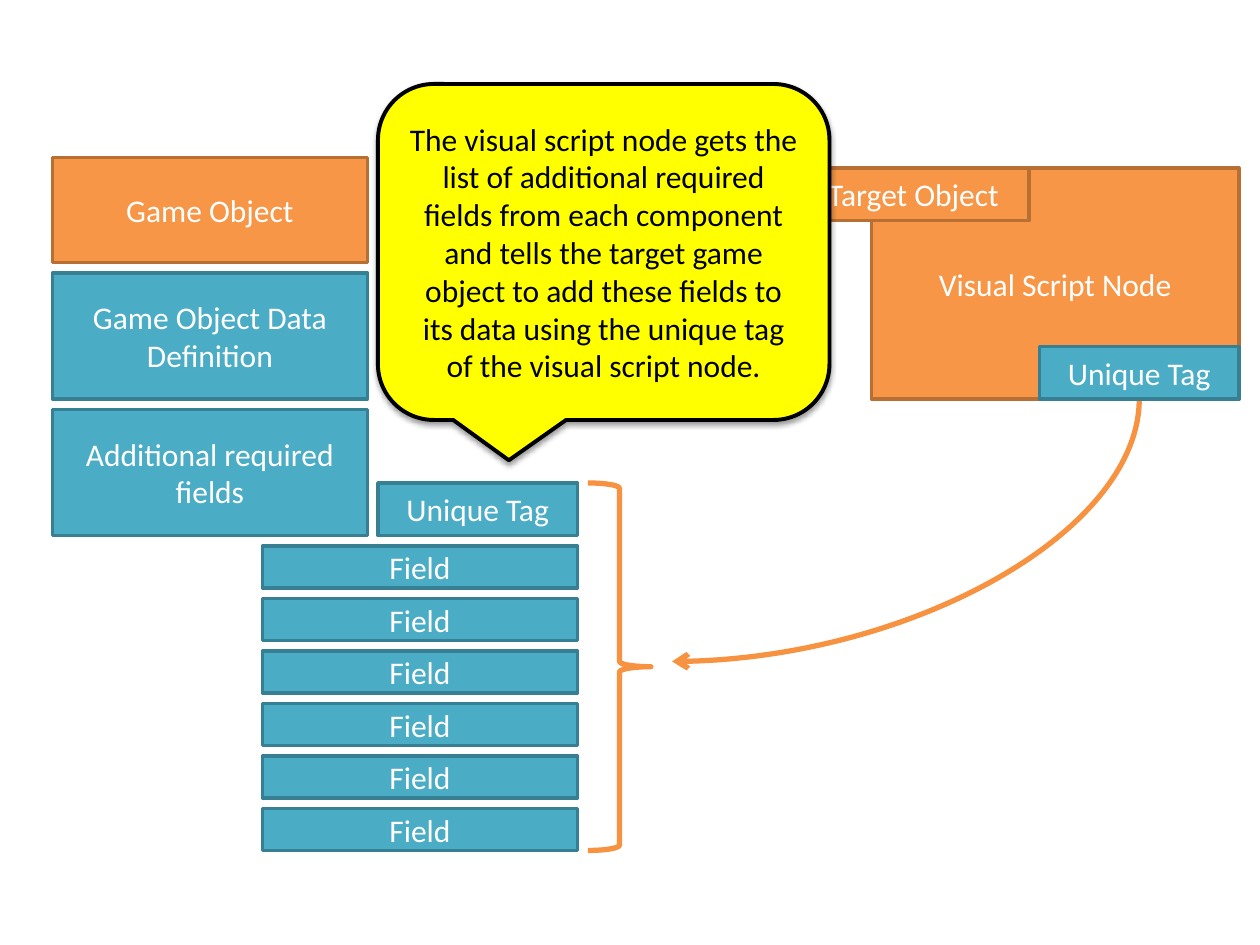
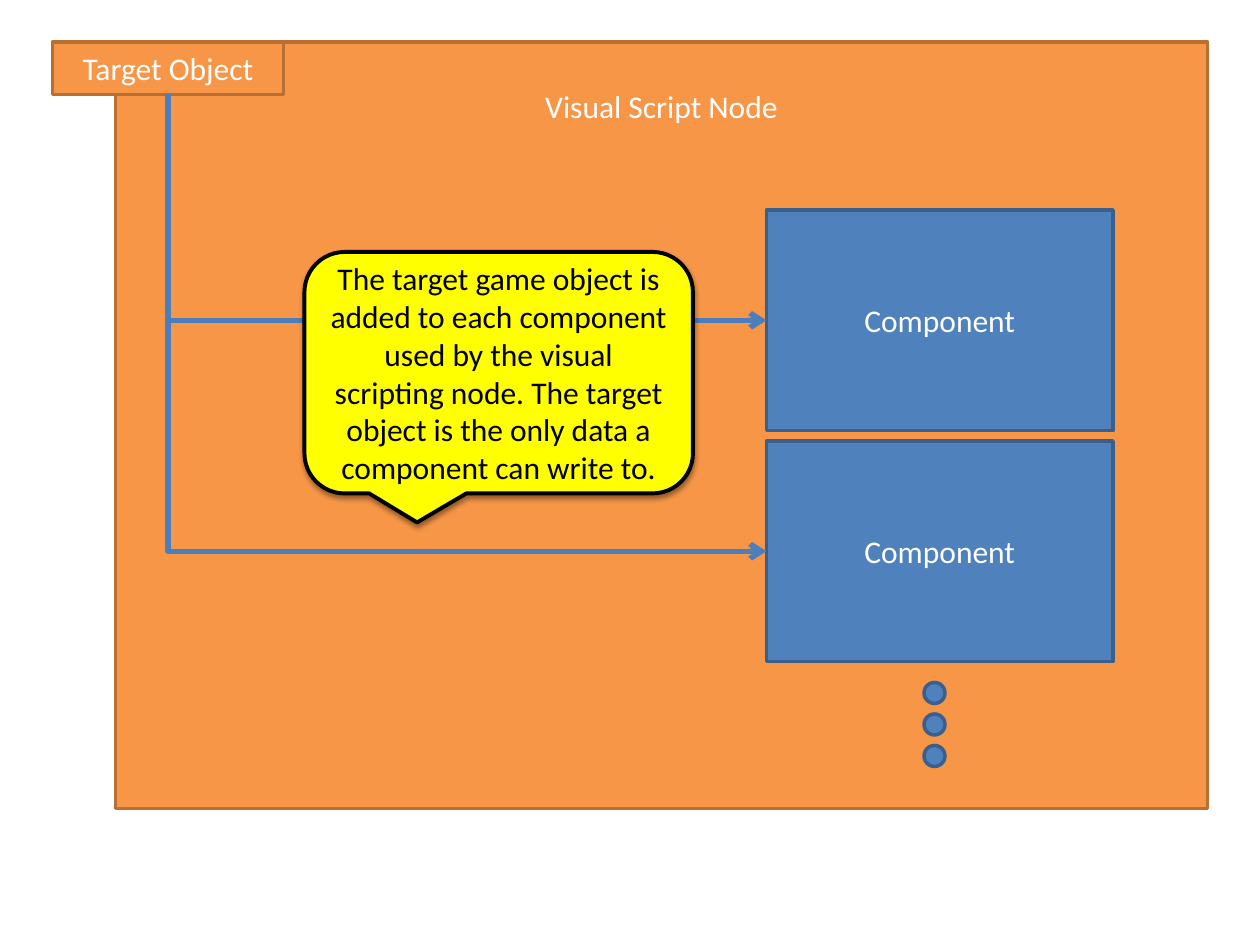
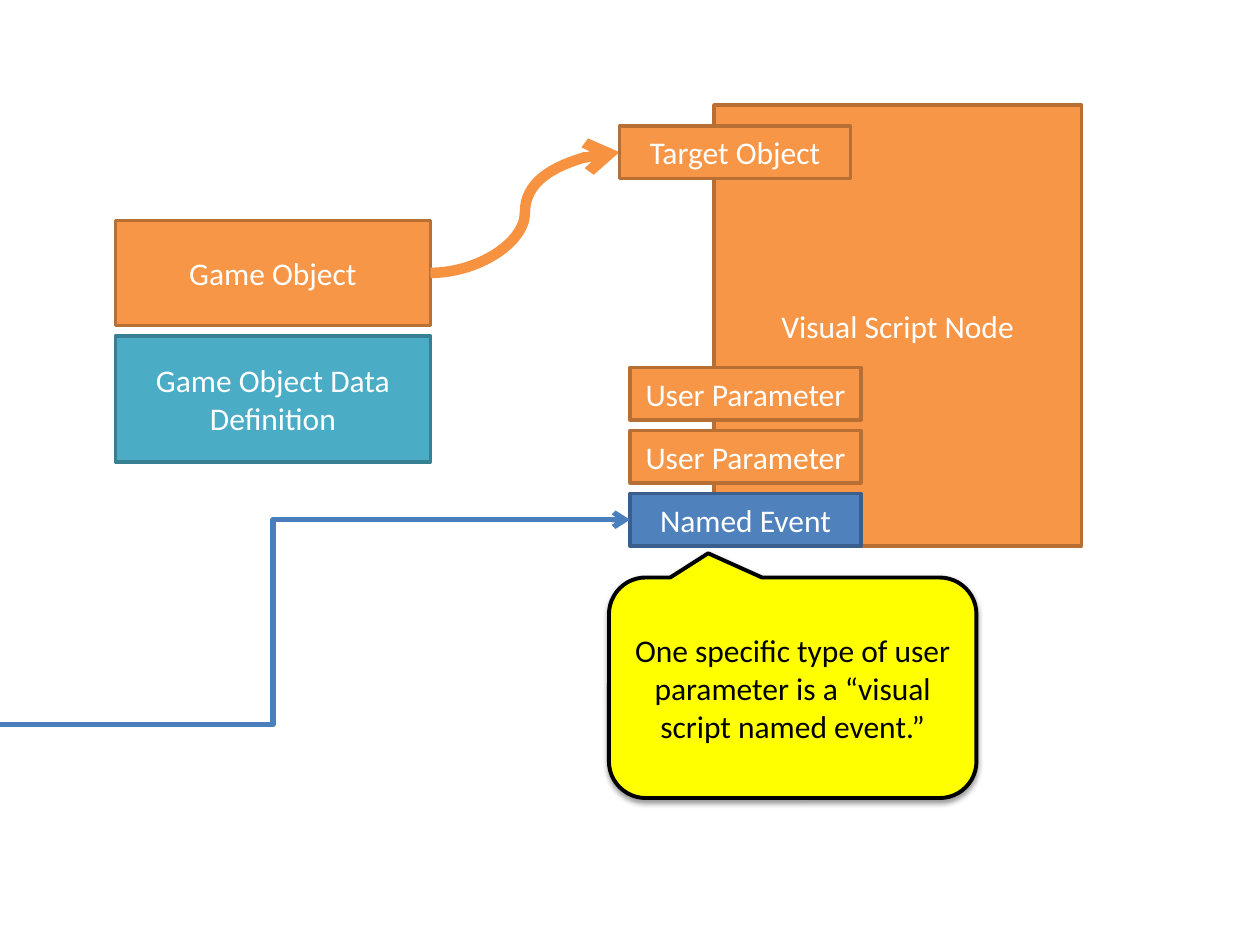
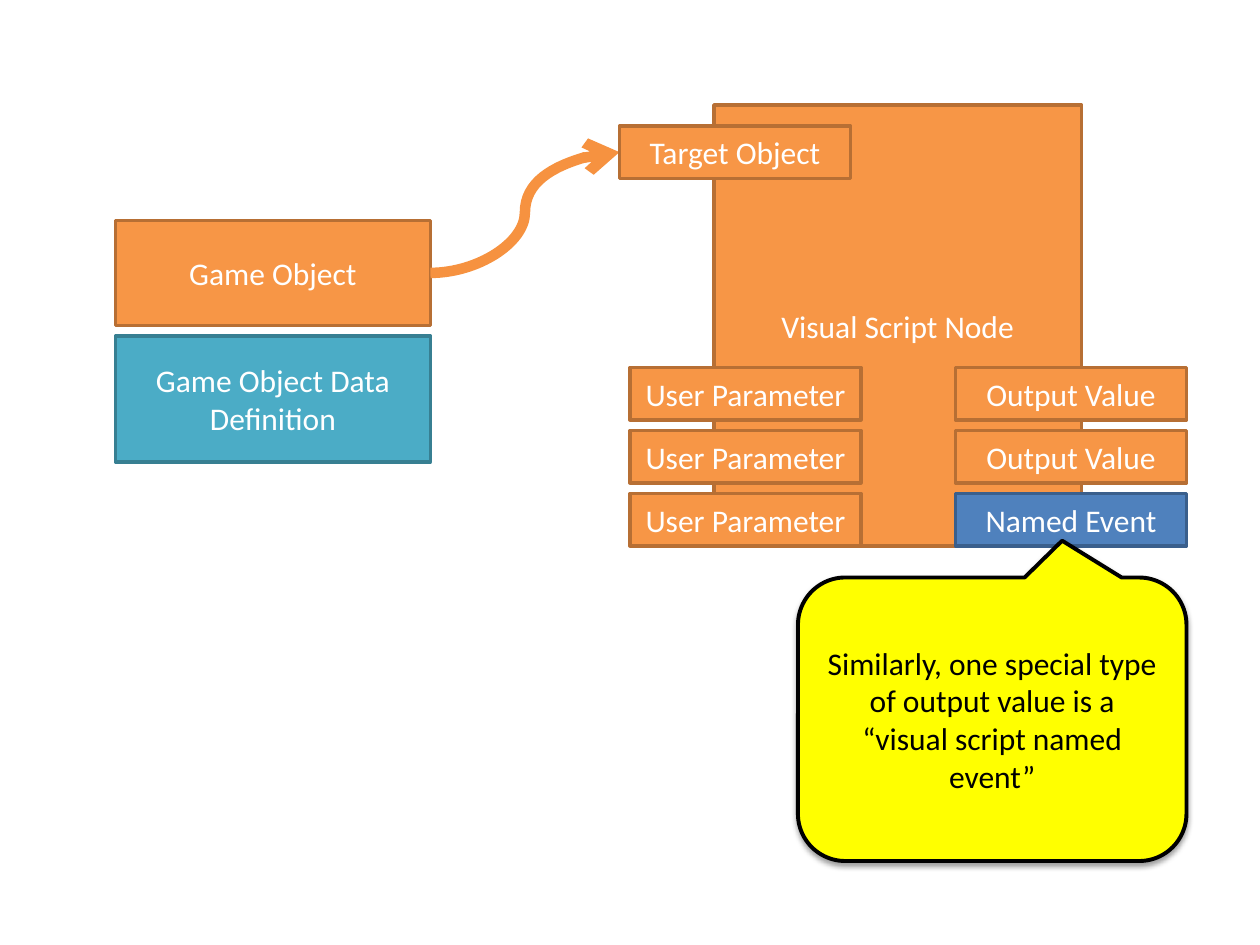
"""Four diagrams of how game objects and visual script nodes work together."""
from dataclasses import dataclass, field
from typing import Optional

from lxml import etree
from pptx import Presentation
from pptx.dml import color
from pptx.enum import shapes as s, text as t
from pptx.oxml import ns
from pptx import util as u


@dataclass(frozen=True)
class Paint:
    """Fill, outline and text colours of one kind of box."""
    fill: str
    line: str
    text: str = "FFFFFF"
    line_width: float = 2


@dataclass(frozen=True)
class Theme:
    """Colours and sizes shared by all slides."""
    script: Paint = Paint("F79646", "B76F34")
    data: Paint = Paint("4BACC6", "377F92")
    logic: Paint = Paint("4F81BD", "3A5F8C")
    callout: Paint = Paint("FFFF00", "000000", "000000", 2.25)
    script_link: str = "F69240"
    logic_link: str = "4B7EBC"
    link_width: float = 3
    wide_link_width: float = 6
    font: str = "Calibri"
    size: float = 18


THEME = Theme()
GAP = 6
TAB_WIDTH, TAB_HEIGHT = 132, 30
TAG_WIDTH = 114
OBJECT_WIDTH, OBJECT_HEIGHT, DATA_HEIGHT = 180, 60, 72


@dataclass(frozen=True)
class Box:
    """A labelled shape, with lengths in points."""
    label: str
    left: float
    top: float
    width: float
    height: float
    paint: Paint = THEME.script
    kind: s.MSO_SHAPE = s.MSO_SHAPE.RECTANGLE
    text_top: Optional[float] = None


@dataclass(frozen=True)
class Callout:
    """A speech bubble; tip is its offset from the centre, in shares of its size."""
    label: str
    left: float
    top: float
    width: float
    height: float
    tip: tuple[float, float] = (-0.21, 0.62)


@dataclass(frozen=True)
class Link:
    """An arrow between two points; one_bend goes down first, then sideways."""
    kind: s.MSO_CONNECTOR
    start: tuple[float, float]
    end: tuple[float, float]
    color: str
    width: float = field(default=THEME.link_width)
    one_bend: bool = False


def rgb(value: str) -> color.RGBColor:
    """Turn a hex string into a colour."""
    return color.RGBColor.from_string(value)


def draw_box(slide, box: Box):
    """Draw a filled shape with its centred label."""
    shape = slide.shapes.add_shape(
        box.kind, u.Pt(box.left), u.Pt(box.top), u.Pt(box.width), u.Pt(box.height))
    shape.shadow.inherit = False
    shape.fill.solid()
    shape.fill.fore_color.rgb = rgb(box.paint.fill)
    shape.line.color.rgb = rgb(box.paint.line)
    shape.line.width = u.Pt(box.paint.line_width)
    if box.label:
        frame = shape.text_frame
        frame.word_wrap = True
        frame.vertical_anchor = t.MSO_ANCHOR.MIDDLE
        if box.text_top is not None:
            frame.vertical_anchor = t.MSO_ANCHOR.TOP
            frame.margin_top = u.Pt(box.text_top)
        paragraph = frame.paragraphs[0]
        paragraph.alignment = t.PP_ALIGN.CENTER
        run = paragraph.add_run()
        run.text = box.label
        run.font.name = THEME.font
        run.font.size = u.Pt(THEME.size)
        run.font.color.rgb = rgb(box.paint.text)
    return shape


def draw_callout(slide, callout: Callout) -> None:
    """Draw a yellow speech bubble with a soft shadow."""
    shape = draw_box(slide, Box(
        callout.label, callout.left, callout.top, callout.width, callout.height,
        THEME.callout, s.MSO_SHAPE.ROUNDED_RECTANGULAR_CALLOUT))
    shape.adjustments[0], shape.adjustments[1] = callout.tip
    effects = shape._element.spPr.find(ns.qn("a:effectLst"))
    shadow = etree.SubElement(
        effects, ns.qn("a:outerShdw"), blurRad=str(u.Pt(3.1)), dist=str(u.Pt(1.6)),
        dir="5400000", rotWithShape="0")
    black = etree.SubElement(shadow, ns.qn("a:srgbClr"), val="000000")
    etree.SubElement(black, ns.qn("a:alpha"), val="38000")


def draw_link(slide, link: Link) -> None:
    """Draw an arrow; a one-bend arrow is laid out in its rotated frame."""
    (x1, y1), (x2, y2) = link.start, link.end
    side = 1 if x2 > x1 else -1
    if link.one_bend:
        middle_x, middle_y = (x1 + x2) / 2, (y1 + y2) / 2
        half_width, half_height = (y2 - y1) / 2, abs(x2 - x1) / 2
        x1, x2 = middle_x + side * half_width, middle_x - side * half_width
        y1, y2 = middle_y - half_height, middle_y + half_height
    connector = slide.shapes.add_connector(
        link.kind, u.Pt(x1), u.Pt(y1), u.Pt(x2), u.Pt(y2))
    connector.line.color.rgb = rgb(link.color)
    connector.line.width = u.Pt(link.width)
    properties = connector._element.spPr
    if link.one_bend:
        geometry = properties.find(ns.qn("a:prstGeom"))
        geometry.set("prst", geometry.get("prst").replace("3", "2"))
        properties.find(ns.qn("a:xfrm")).set("rot", "16200000" if side > 0 else "5400000")
    etree.SubElement(properties.find(ns.qn("a:ln")), ns.qn("a:tailEnd"), type="arrow")
    etree.SubElement(properties, ns.qn("a:effectLst"))


def draw_stack(slide, labels: list[str], left: float, top: float,
               width: float, height: float, paints: list[Paint]) -> None:
    """Draw boxes of one size below each other with equal gaps."""
    for row, (label, paint) in enumerate(zip(labels, paints)):
        draw_box(slide, Box(label, left, top + row * (height + GAP), width, height, paint))


def draw_game_object(slide, left: float, top: float) -> None:
    """Draw a game object above its data definition."""
    draw_box(slide, Box("Game Object", left, top, OBJECT_WIDTH, OBJECT_HEIGHT))
    draw_box(slide, Box("Game Object Data Definition", left, top + OBJECT_HEIGHT + GAP,
                        OBJECT_WIDTH, DATA_HEIGHT, THEME.data))


def draw_target(slide, left: float, top: float) -> None:
    """Draw the target object tab of a node."""
    draw_box(slide, Box("Target Object", left, top, TAB_WIDTH, TAB_HEIGHT))


def draw_linked_node(slide) -> None:
    """Draw a game object that is linked to a node as its target."""
    draw_game_object(slide, 66, 126)
    draw_box(slide, Box("Visual Script Node", 408, 60, 210, 252))
    draw_link(slide, Link(s.MSO_CONNECTOR.CURVE, (246, 156), (354, 87),
                          THEME.script_link, THEME.wide_link_width))
    draw_target(slide, 354, 72)


def draw_tabs(slide, labels: list[str], left: float) -> None:
    """Draw a column of node tabs; named events are blue."""
    paints = [THEME.logic if label == "Named Event" else THEME.script for label in labels]
    draw_stack(slide, labels, left, 210, TAB_WIDTH, TAB_HEIGHT, paints)


def build_required_fields(slide) -> None:
    """Slide 1: the node adds required fields to the game object."""
    draw_game_object(slide, 30, 90)
    draw_box(slide, Box("Visual Script Node", 498, 96, 210, 132))
    draw_link(slide, Link(s.MSO_CONNECTOR.CURVE, (651, 228), (384, 378),
                          THEME.script_link, one_bend=True))
    draw_target(slide, 456, 96)
    draw_stack(slide, ["Field"] * 6, 150, 312, OBJECT_WIDTH, 24, [THEME.data] * 6)
    brace = slide.shapes.add_shape(
        s.MSO_SHAPE.RIGHT_BRACE, u.Pt(336), u.Pt(276), u.Pt(36), u.Pt(210))
    brace.shadow.inherit = False
    brace.fill.background()
    brace.line.color.rgb = rgb(THEME.script_link)
    brace.line.width = u.Pt(THEME.link_width)
    draw_box(slide, Box("Additional required fields", 30, 234,
                        OBJECT_WIDTH, DATA_HEIGHT, THEME.data))
    for left, top in ((216, 276), (594, 198)):
        draw_box(slide, Box("Unique Tag", left, top, TAG_WIDTH, TAB_HEIGHT, THEME.data))
    draw_callout(slide, Callout(
        "The visual script node gets the list of additional required fields from each "
        "component and tells the target game object to add these fields to its data "
        "using the unique tag of the visual script node.", 216, 48, 258, 192))


def build_components(slide) -> None:
    """Slide 2: the target object is passed to every component."""
    draw_box(slide, Box("Visual Script Node", 66, 24, 624, 438, text_top=25.6))
    draw_target(slide, 30, 24)
    left, top, height = 438, 120, 126
    draw_stack(slide, ["Component"] * 2, left, top, 198, height, [THEME.logic] * 2)
    for row in range(3):
        draw_box(slide, Box("", 528, 390 + row * 18, 12, 12, THEME.logic, s.MSO_SHAPE.OVAL))
    for row in range(2):
        middle = top + height / 2 + row * (height + GAP)
        draw_link(slide, Link(s.MSO_CONNECTOR.ELBOW, (96, 54), (left, middle),
                              THEME.logic_link, one_bend=True))
    draw_callout(slide, Callout(
        "The target game object is added to each component used by the visual scripting "
        "node. The target object is the only data a component can write to.",
        174, 144, 222, 138))


def build_event_parameter(slide) -> None:
    """Slide 3: a named event as a user parameter."""
    draw_linked_node(slide)
    draw_tabs(slide, ["User Parameter", "User Parameter", "Named Event"], 360)
    draw_link(slide, Link(s.MSO_CONNECTOR.ELBOW, (-48, 414), (360, 297), THEME.logic_link))
    draw_callout(slide, Callout(
        "One specific type of user parameter is a “visual script named event.”",
        348, 330, 210, 126, (-0.23, -0.61)))


def build_event_output(slide) -> None:
    """Slide 4: a named event as an output value."""
    draw_linked_node(slide)
    draw_tabs(slide, ["User Parameter"] * 3, 360)
    draw_tabs(slide, ["Output Value", "Output Value", "Named Event"], 546)
    draw_callout(slide, Callout(
        "Similarly, one special type of output value is a “visual script named event”",
        456, 330, 222, 162, (0.18, -0.63)))


def main() -> None:
    """Build and save the presentation."""
    presentation = Presentation()
    presentation.slide_width, presentation.slide_height = u.Pt(720), u.Pt(540)
    blank = presentation.slide_layouts[6]
    for build in (build_required_fields, build_components,
                  build_event_parameter, build_event_output):
        build(presentation.slides.add_slide(blank))
    presentation.save("out.pptx")


main()
